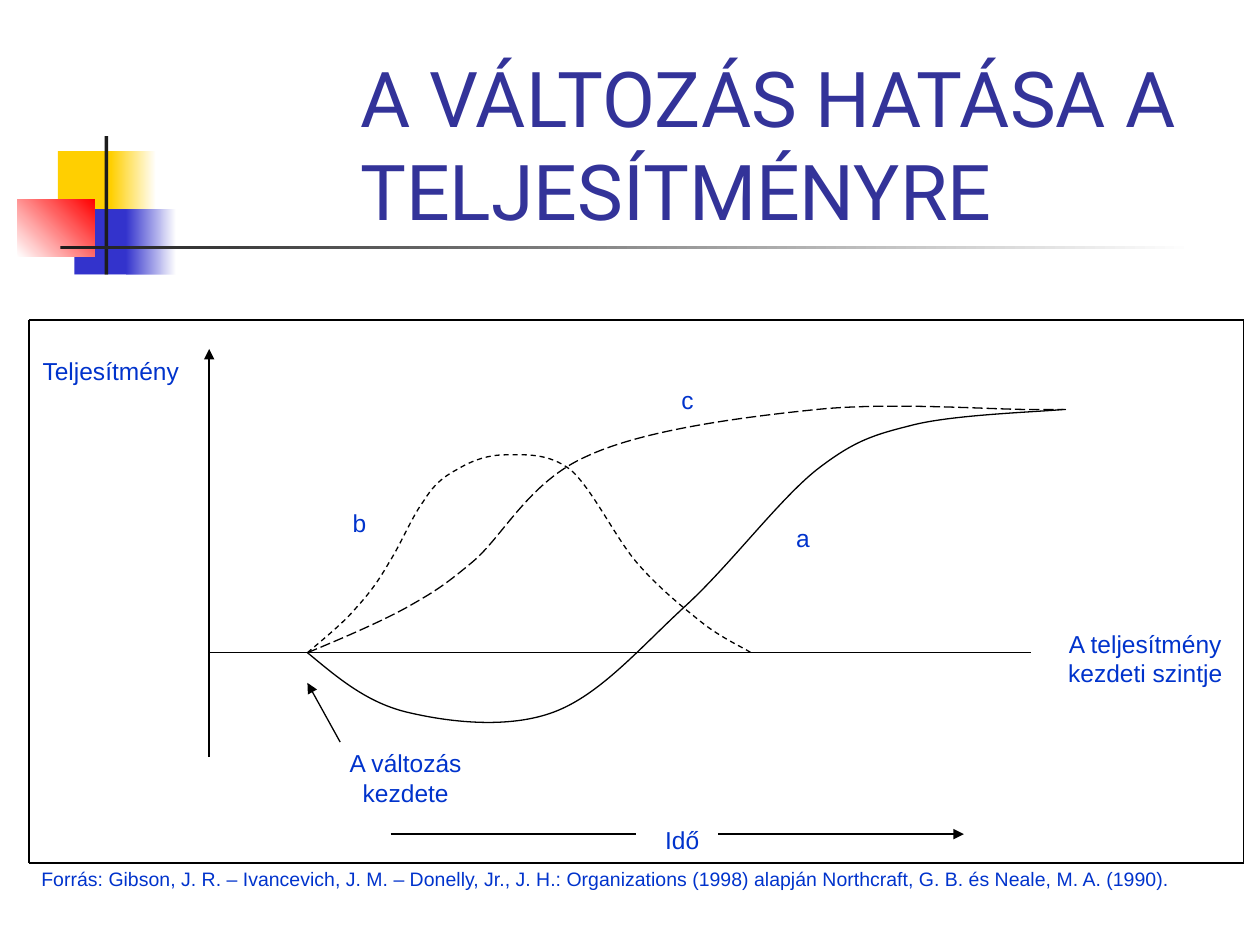
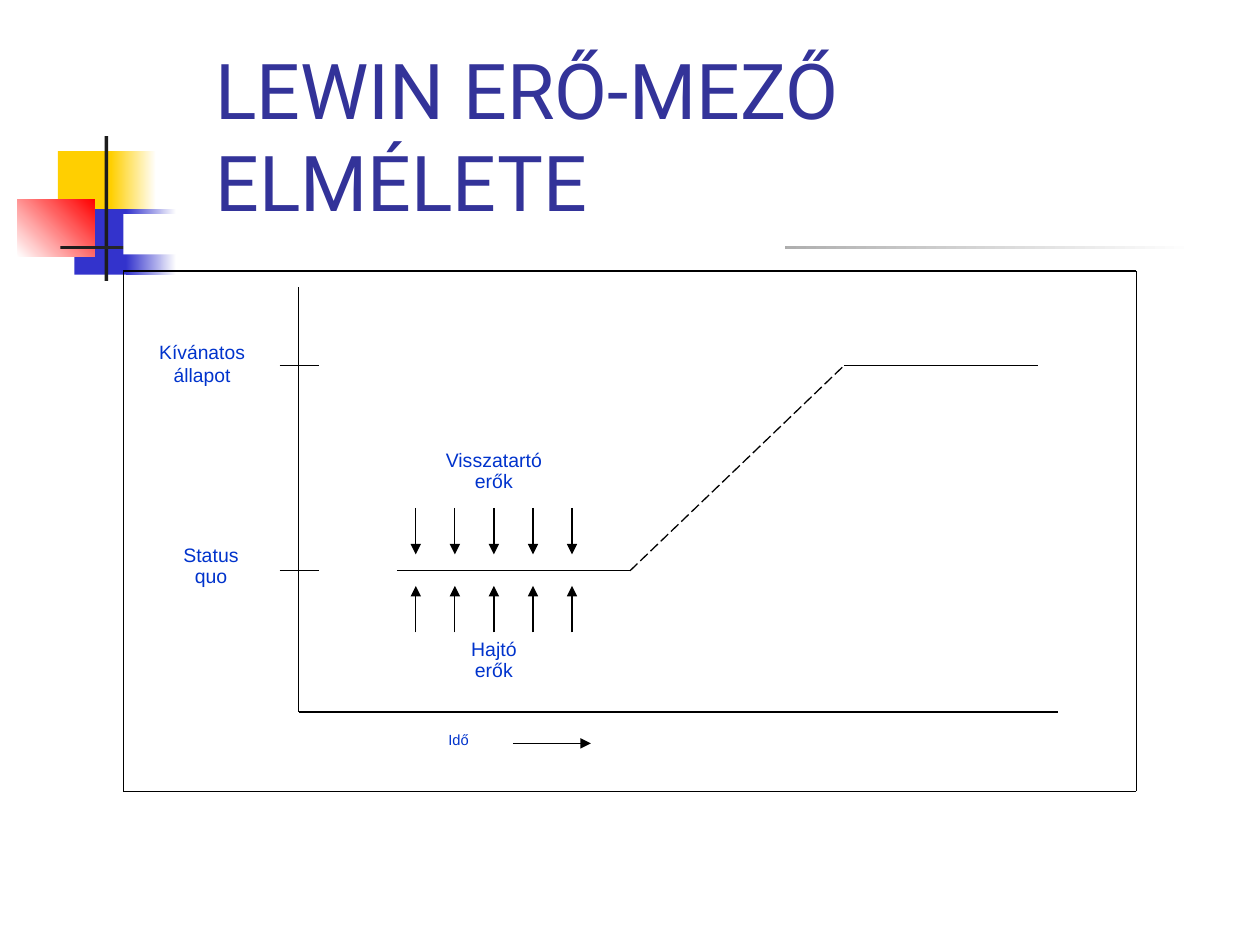
from dataclasses import dataclass
from itertools import pairwise

from lxml import etree
from pptx import Presentation
from pptx.dml.color import RGBColor
from pptx.enum import dml, shapes, text
from pptx.oxml import ns
from pptx.util import Inches, Pt

TITLE_FONT, LABEL_FONT = "Roboto", "Arial"
TITLE_COLOR, LABEL_COLOR = "333399", "0033CC"
WHITE, BLACK, CHARCOAL = "FFFFFF", "000000", "1C1C1C"
YELLOW, BLUE, RED = "FFCF01", "3333CC", "FF0000"
LONG_DASH, DASH = dml.MSO_LINE.LONG_DASH, dml.MSO_LINE.DASH

Box = tuple[float, float, float, float]
Point = tuple[float, float]


@dataclass
class Block:
    """Rectangle of the master motif; a second colour makes it a gradient."""
    box: Box
    color: str
    end_color: str | None = None
    angle: float = 0


@dataclass
class Label:
    box: Box
    lines: tuple[str, ...] = ()
    size: float = 14
    spacing: float = 1.0
    centered: bool = True


@dataclass
class Line:
    start: Point
    end: Point
    arrow: bool = False
    dash: dml.MSO_LINE | None = None


@dataclass
class Curve:
    """Chain of cubic Bézier segments: a start, then three points each."""
    points: list[Point]
    dash: dml.MSO_LINE | None = None


@dataclass
class Diagram:
    title: str
    title_box: Box
    frame: Box  # left, top, right, bottom
    labels: list[Label]
    lines: list[Line]
    curves: list[Curve]


MOTIF = [
    Block((0.46, 1.2, 0.48, 0.52), YELLOW),
    Block((0.88, 1.2, 0.36, 0.52), YELLOW, WHITE),
    Block((0.59, 1.66, 0.46, 0.52), BLUE),
    Block((1, 1.66, 0.4, 0.52), BLUE, WHITE),
    Block((0.14, 1.58, 0.61, 0.46), WHITE, RED, 45),
    Block((0.83, 1.08, 0.03, 1.15), CHARCOAL),
    Block((0.48, 1.95, 9, 0.03), CHARCOAL, WHITE),
]

CHANGE_START = (2.44, 5.18)
GRADUAL_GROWTH = Curve([
    CHANGE_START, (2.73, 5.06), (3.01, 4.94), (3.23, 4.82),
    (3.44, 4.7), (3.51, 4.66), (3.75, 4.46),
    (3.99, 4.26), (4.2, 3.82), (4.66, 3.62),
    (5.11, 3.41), (5.9, 3.31), (6.48, 3.25),
    (7.07, 3.19), (7.85, 3.25), (8.18, 3.25),
    (8.5, 3.25), (8.47, 3.25), (8.44, 3.25)], LONG_DASH)
DIP_THEN_GROWTH = Curve([
    CHANGE_START, (2.67, 5.37), (2.9, 5.57), (3.22, 5.65),
    (3.55, 5.73), (4.03, 5.79), (4.4, 5.65),
    (4.77, 5.51), (5.09, 5.13), (5.44, 4.81),
    (5.79, 4.49), (6.18, 3.97), (6.48, 3.73),
    (6.79, 3.49), (6.94, 3.45), (7.26, 3.37),
    (7.59, 3.29), (8.24, 3.27), (8.44, 3.25)])
RISE_THEN_FALL = Curve([
    CHANGE_START, (2.58, 5.06), (2.73, 4.94), (2.83, 4.82),
    (2.94, 4.7), (3.01, 4.6), (3.09, 4.46),
    (3.18, 4.32), (3.27, 4.1), (3.36, 3.98),
    (3.44, 3.85), (3.51, 3.79), (3.62, 3.73),
    (3.72, 3.67), (3.85, 3.61), (4.01, 3.61),
    (4.16, 3.61), (4.35, 3.59), (4.53, 3.73),
    (4.7, 3.88), (4.88, 4.26), (5.05, 4.46),
    (5.22, 4.66), (5.42, 4.82), (5.57, 4.94),
    (5.72, 5.06), (5.9, 5.14), (5.96, 5.18)], DASH)

PERFORMANCE = Diagram(
    title="A VÁLTOZÁS HATÁSA A TELJESÍTMÉNYRE",
    title_box=(2.76, 0.74, 7.02, 1.18),
    frame=(0.23, 2.54, 9.87, 6.85),
    labels=[
        Label((0.36, 2.18, 7.17, 0.36)),
        Label((8.31, 4.94, 1.56, 0.6), ("A teljesítmény", "kezdeti szintje")),
        Label((2.57, 5.89, 1.3, 0.6), ("A változás", "kezdete")),
        Label((5.18, 6.5, 0.52, 0.36), ("Idő",), centered=False),
        Label((2.7, 3.98, 0.26, 0.36), ("b",), centered=False),
        Label((5.31, 3.01, 0.26, 0.36), ("c",), centered=False),
        Label((6.22, 4.1, 0.39, 0.36), ("a",), centered=False),
        Label((0.23, 2.78, 1.3, 0.36), ("Teljesítmény",)),
        Label((0.23, 6.85, 9.77, 0.36),
              ("Forrás: Gibson, J. R. – Ivancevich, J. M. – Donelly, Jr., J. H.: "
               "Organizations (1998) alapján Northcraft, G. B. és Neale, M. A. (1990).",),
              11.1, 0.9, centered=False),
    ],
    lines=[
        Line((2.7, 5.89), (2.44, 5.42), arrow=True),
        Line((1.66, 5.18), (8.18, 5.18)),
        Line((3.1, 6.62), (5.05, 6.62)),
        Line((5.7, 6.62), (7.65, 6.62), arrow=True),
        Line((1.66, 6.01), (1.66, 2.77), arrow=True),
    ],
    curves=[GRADUAL_GROWTH, DIP_THEN_GROWTH, RISE_THEN_FALL],
)

DESIRED_Y, STATUS_QUO_Y = 2.9, 4.53
FORCE_XS = [3.3 + 0.31 * i for i in range(5)]
FORCE_SPANS = [(4.03, 4.4), (5.02, 4.65)]  # restraining, driving

FORCE_FIELD = Diagram(
    title="LEWIN ERŐ-MEZŐ ELMÉLETE",
    title_box=(1.61, 0.28, 7.89, 1.57),
    frame=(0.98, 2.15, 9.02, 6.28),
    labels=[
        Label((0.98, 1.7, 5.25, 0.32)),
        Label((1.14, 2.65, 0.93, 0.62), ("Kívánatos állapot",), 11),
        Label((3.15, 5.03, 1.54, 0.5), ("Hajtó", "erők"), 11.1, 0.9),
        Label((3.15, 3.53, 1.54, 0.5), ("Visszatartó", "erők"), 11.1, 0.9),
        Label((1.29, 4.28, 0.77, 0.5), ("Status", "quo"), 11.1, 0.9),
        Label((3.46, 5.78, 0.77, 0.25), ("Idő",), 8.4, 0.8, centered=False),
    ],
    lines=[
        Line((2.37, 2.28), (2.37, 5.65)),
        Line((2.37, 5.65), (8.4, 5.65)),
        *(Line((2.22, y), (2.53, y)) for y in (DESIRED_Y, STATUS_QUO_Y)),
        Line((3.15, STATUS_QUO_Y), (5, STATUS_QUO_Y)),
        Line((5, STATUS_QUO_Y), (6.7, DESIRED_Y), dash=LONG_DASH),
        Line((6.7, DESIRED_Y), (8.24, DESIRED_Y)),
        *(Line((x, tail), (x, tip), arrow=True)
          for tail, tip in FORCE_SPANS for x in FORCE_XS),
        Line((4.07, 5.9), (4.69, 5.9), arrow=True),
    ],
    curves=[],
)


def rgb(color: str) -> RGBColor:
    return RGBColor.from_string(color)


def inches(values) -> list:
    return [Inches(v) for v in values]


def add_block(slide, block: Block):
    sp = slide.shapes.add_shape(shapes.MSO_SHAPE.RECTANGLE, *inches(block.box))
    sp.shadow.inherit = False
    sp.line.fill.background()
    if block.end_color:
        sp.fill.gradient()
        sp.fill.gradient_angle = block.angle
        for stop, color in zip(sp.fill.gradient_stops, (block.color, block.end_color)):
            stop.color.rgb = rgb(color)
    else:
        sp.fill.solid()
        sp.fill.fore_color.rgb = rgb(block.color)
    return sp


def add_label(slide, label: Label) -> None:
    """Draw a white box with its text; without text it only masks the motif."""
    tf = add_block(slide, Block(label.box, WHITE)).text_frame
    tf.word_wrap = True
    tf.vertical_anchor = text.MSO_ANCHOR.TOP
    for i, line in enumerate(label.lines):
        p = tf.add_paragraph() if i else tf.paragraphs[0]
        p.text = line
        p.alignment = text.PP_ALIGN.CENTER if label.centered else text.PP_ALIGN.LEFT
        p.line_spacing = label.spacing
        p.font.name, p.font.size = LABEL_FONT, Pt(label.size)
        p.font.color.rgb = rgb(LABEL_COLOR)


def style_stroke(line, dash: dml.MSO_LINE | None) -> None:
    line.color.rgb = rgb(BLACK)
    line.width = Pt(0.75)
    if dash:
        line.dash_style = dash


def add_line(slide, line: Line) -> None:
    cx = slide.shapes.add_connector(
        shapes.MSO_CONNECTOR.STRAIGHT, *inches(line.start + line.end))
    style_stroke(cx.line, line.dash)
    sp_pr = cx._element.spPr
    if line.arrow:
        etree.SubElement(sp_pr.find(ns.qn("a:ln")), ns.qn("a:tailEnd"), type="triangle")
    etree.SubElement(sp_pr, ns.qn("a:effectLst"))


def add_curve(slide, curve: Curve) -> None:
    start, *rest = [inches(point) for point in curve.points]
    builder = slide.shapes.build_freeform(*start)
    builder.add_line_segments(rest, close=False)
    sp = builder.convert_to_shape()
    sp.shadow.inherit = False
    sp.fill.background()
    style_stroke(sp.line, curve.dash)
    # Each three straight segments become one cubic segment.
    path = next(sp._element.iter(ns.qn("a:path")))
    segments = path.findall(ns.qn("a:lnTo"))
    for i in range(0, len(segments), 3):
        cubic = etree.SubElement(path, ns.qn("a:cubicBezTo"))
        for segment in segments[i:i + 3]:
            cubic.append(segment[0])
            path.remove(segment)


def add_frame(slide, frame: Box) -> None:
    left, top, right, bottom = frame
    corners = [(left, top), (right, top), (right, bottom), (left, bottom), (left, top)]
    for start, end in pairwise(corners):
        add_line(slide, Line(start, end))


def set_title(slide, title: str, box: Box) -> None:
    sp = slide.shapes.title
    sp.left, sp.top, sp.width, sp.height = inches(box)
    tf = sp.text_frame
    tf.text = title
    tf.word_wrap = True
    tf.auto_size = text.MSO_AUTO_SIZE.NONE
    tf.vertical_anchor = text.MSO_ANCHOR.BOTTOM
    p = tf.paragraphs[0]
    p.alignment = text.PP_ALIGN.LEFT
    p.font.name, p.font.size = TITLE_FONT, Pt(44)
    p.font.color.rgb = rgb(TITLE_COLOR)


def add_diagram_slide(prs, diagram: Diagram) -> None:
    slide = prs.slides.add_slide(prs.slide_layouts.get_by_name("Title Only"))
    set_title(slide, diagram.title, diagram.title_box)
    for block in MOTIF:
        add_block(slide, block)
    for label in diagram.labels:
        add_label(slide, label)
    add_frame(slide, diagram.frame)
    for line in diagram.lines:
        add_line(slide, line)
    for curve in diagram.curves:
        add_curve(slide, curve)


def main() -> None:
    prs = Presentation()
    prs.slide_width, prs.slide_height = Inches(10), Inches(7.5)
    for diagram in (PERFORMANCE, FORCE_FIELD):
        add_diagram_slide(prs, diagram)
    prs.save("out.pptx")


if __name__ == "__main__":
    main()
